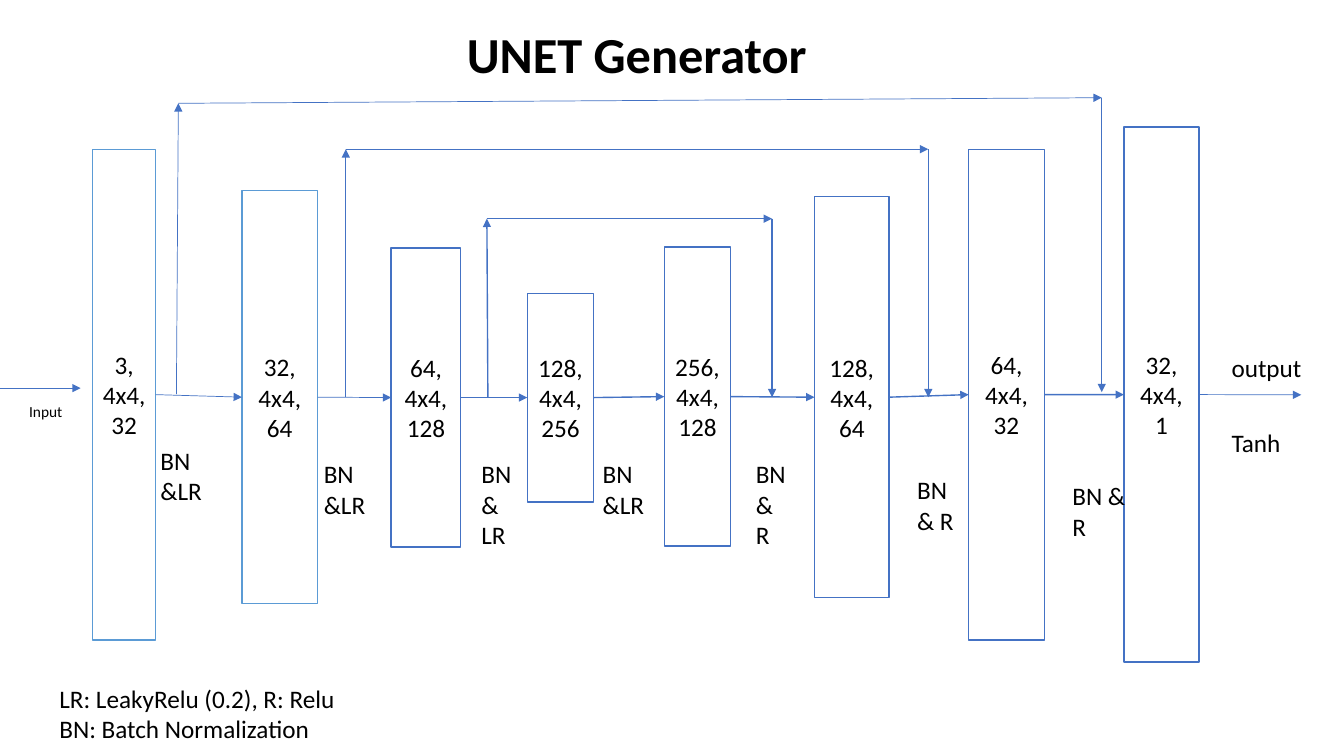
from itertools import pairwise

from lxml import etree
from pptx import Presentation
from pptx.dml.color import RGBColor
from pptx.enum.shapes import MSO_CONNECTOR, MSO_SHAPE
from pptx.enum.text import MSO_ANCHOR, MSO_AUTO_SIZE, PP_ALIGN
from pptx.oxml.ns import qn
from pptx.util import Pt

STRAIGHT = MSO_CONNECTOR.STRAIGHT
RECTANGLE = MSO_SHAPE.RECTANGLE
TOP, MIDDLE = MSO_ANCHOR.TOP, MSO_ANCHOR.MIDDLE
LEFT, CENTER = PP_ALIGN.LEFT, PP_ALIGN.CENTER
NO_AUTOFIT = MSO_AUTO_SIZE.NONE
LEFT_SIDE, RIGHT_SIDE = 1, 3

THEME = {
    "font": "Calibri",
    "text": RGBColor(0x00, 0x00, 0x00),
    "paper": RGBColor(0xFF, 0xFF, 0xFF),
    "blue": RGBColor(0x44, 0x72, 0xC4),
    "light_blue": RGBColor(0x5B, 0x9B, 0xD5),
    "title_size": 36,
    "body_size": 18,
    "small_size": 11,
    "thin": 0.5,
    "normal": 1,
}

SLIDE_SIZE = (960, 540)
TITLE = ("UNET Generator", (326.2, 13, 260.6, 51.1))

LAYERS = [
    ("3,\v4x4,\v32", (66.2, 106.6, 45, 350.6), "light_blue"),
    ("32,\v4x4,\v64", (172.8, 136.1, 54, 295.2), "light_blue"),
    ("64,\v4x4,\v128", (279.4, 177.1, 49.7, 213.8), "blue"),
    ("128,\v4x4,\v256", (376.6, 209.5, 47.5, 149), "blue"),
    ("256,\v4x4,\v128", (474.5, 176.4, 47.5, 213.8), "blue"),
    ("128,\v4x4,\n64", (581.8, 140.4, 53.3, 286.6), "blue"),
    ("64,\v4x4,\v32", (691.9, 106.6, 54, 350.6), "blue"),
    ("32,\v4x4,\v1", (802.8, 90.7, 53.6, 382.3), "blue"),
]
LINK_WEIGHTS = ["thin", "thin"] + ["normal"] * 5

SKIPS = [
    ([(348.5, 283.7), (347.8, 156.2), (551.5, 156.2), (551.5, 283.7)],
     ["normal", "normal", "normal"]),
    ([(247, 283.7), (247, 106.6), (663.1, 106.6), (663.1, 283.7)],
     ["thin", "thin", "normal"]),
    ([(126, 281.5), (127.4, 73.8), (787, 69.8), (787, 280.1)],
     ["thin", "thin", "normal"]),
]
INPUT_ARROW = ((-1.4, 277.2), (57.6, 277.2))
OUTPUT_TIP = (929.5, 282)

LABELS = [
    ("LR: LeakyRelu (0.2), R: Relu\vBN: Batch Normalization",
     (35.3, 484.6, 600, 51.1), "body_size"),
    ("BN\v&LR", (107.5, 314.6, 46.1, 51.1), "body_size"),
    ("BN\v&LR", (224.2, 324, 46.8, 51.1), "body_size"),
    ("BN\v&\vLR", (336.8, 324, 41, 72.7), "body_size"),
    ("BN\v&LR", (423.4, 324, 50.4, 51.1), "body_size"),
    ("BN\v&\vR", (532.8, 324, 38.9, 72.7), "body_size"),
    ("BN\v& R", (648, 335.5, 43.9, 51.1), "body_size"),
    ("BN &\vR", (758.9, 339.8, 56, 51.1), "body_size"),
    ("output", (872.6, 248.4, 73.4, 28.8), "body_size"),
    ("Tanh", (872.6, 301.5, 73.4, 28.8), "body_size"),
    ("Input", (13.7, 283.7, 44, 20.9), "small_size"),
]


def points(values):
    return [Pt(value) for value in values]


def apply_format(target, values):
    for name, value in values.items():
        setattr(target, name, value)


def write_text(shape, text, size, frame_format, align=LEFT, bold=False):
    frame = shape.text_frame
    frame.text = text
    apply_format(frame, {"auto_size": NO_AUTOFIT, "word_wrap": True, **frame_format})
    for paragraph in frame.paragraphs:
        paragraph.alignment = align
        for run in paragraph.runs:
            apply_format(run.font, {"name": THEME["font"], "size": Pt(THEME[size]),
                                    "bold": bold})
            run.font.color.rgb = THEME["text"]


def add_layer(slide, text, box, outline):
    layer = slide.shapes.add_shape(RECTANGLE, *points(box))
    layer.shadow.inherit = False
    layer.fill.solid()
    layer.fill.fore_color.rgb = THEME["paper"]
    layer.line.color.rgb = THEME[outline]
    layer.line.width = Pt(THEME["normal"])
    write_text(layer, text, "body_size",
               {"vertical_anchor": MIDDLE, "margin_left": Pt(2), "margin_right": Pt(2)},
               align=CENTER)
    return layer


def add_arrow(slide, start, end, weight):
    arrow = slide.shapes.add_connector(STRAIGHT, *points(start + end))
    arrow.line.color.rgb = THEME["blue"]
    arrow.line.width = Pt(THEME[weight])
    etree.SubElement(arrow.line._get_or_add_ln(), qn("a:tailEnd"), type="triangle")
    etree.SubElement(arrow._element.spPr, qn("a:effectLst"))
    return arrow


def main():
    deck = Presentation()
    deck.slide_width, deck.slide_height = points(SLIDE_SIZE)
    slide = deck.slides.add_slide(deck.slide_layouts[5])

    heading, heading_box = TITLE
    title = slide.shapes.title
    apply_format(title, dict(zip(("left", "top", "width", "height"), points(heading_box))))
    write_text(title, heading, "title_size",
               {"vertical_anchor": TOP, "word_wrap": False}, bold=True)

    layers = [add_layer(slide, *layer) for layer in LAYERS]
    for (source, target), weight in zip(pairwise(layers), LINK_WEIGHTS):
        link = add_arrow(slide, (0, 0), (0, 0), weight)
        link.begin_connect(source, RIGHT_SIDE)
        link.end_connect(target, LEFT_SIDE)

    for corners, weights in SKIPS:
        for (start, end), weight in zip(pairwise(corners), weights):
            add_arrow(slide, start, end, weight)

    add_arrow(slide, *INPUT_ARROW, "thin")
    output_arrow = add_arrow(slide, OUTPUT_TIP, OUTPUT_TIP, "thin")
    output_arrow.begin_connect(layers[-1], RIGHT_SIDE)

    for text, box, size in LABELS:
        label = slide.shapes.add_textbox(*points(box))
        write_text(label, text, size, {"vertical_anchor": TOP})

    deck.save("out.pptx")


if __name__ == "__main__":
    main()
